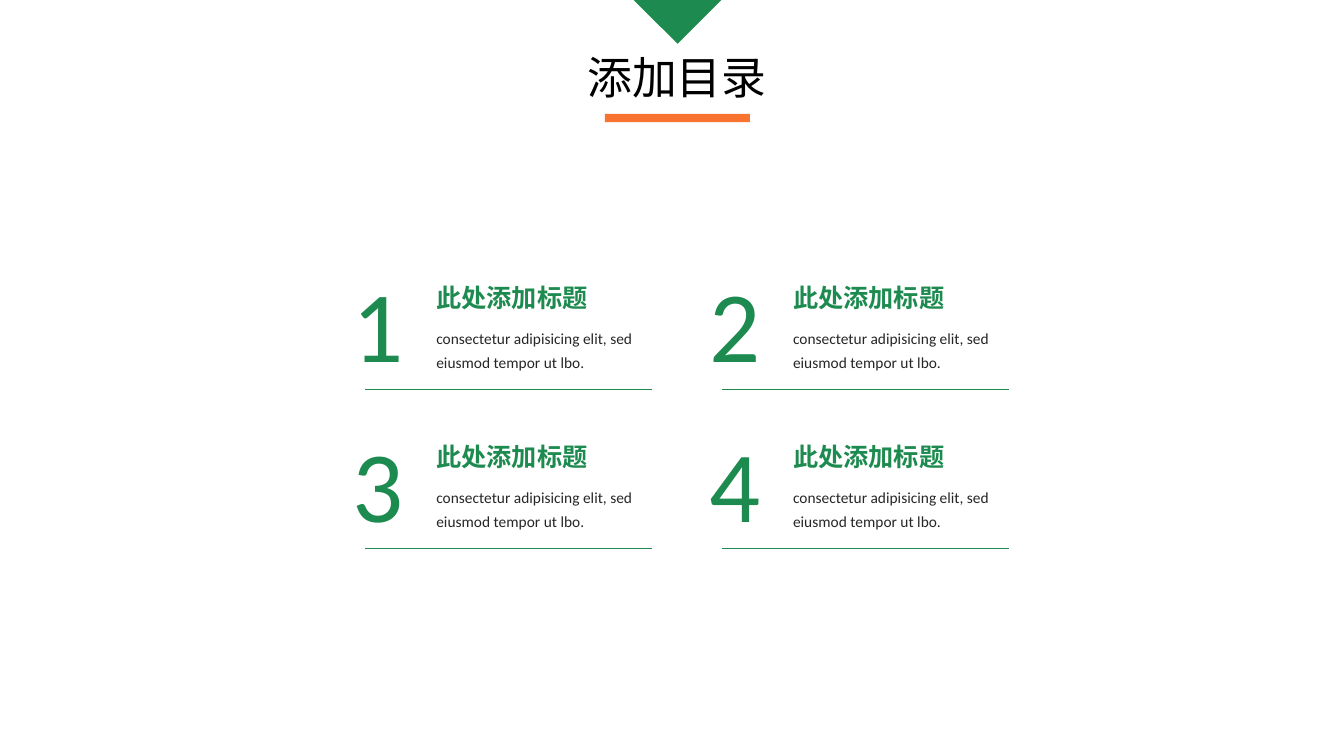
import pptx
import pptx.util
import pptx.dml.color
import pptx.enum.shapes
import pptx.enum.text
import pptx.oxml
import pptx.oxml.ns

Pt = pptx.util.Pt
SHAPE = pptx.enum.shapes.MSO_SHAPE
ALIGN = pptx.enum.text.PP_ALIGN

# Content
PAGE_TITLE = "添加目录"
HEADING = "此处添加标题"
BODY = "consectetur adipisicing elit, sed eiusmod tempor ut lbo."
# (number, width of its box), in reading order
ENTRIES = [("1", 54), ("2", 51), ("3", 51), ("4", 51)]

COLORS = {"green": "1D8B4F", "orange": "F87230", "dark": "262626", "black": "000000"}

# Grid of entries
COLUMNS = 2
GRID_LEFT, GRID_TOP = 244.8, 183.6
COLUMN_PITCH, ROW_PITCH = 254.8, 113.8
TEXT_OFFSET, TEXT_WIDTH = 59.8, 161.3
RULE_OFFSET, RULE_WIDTH, ENTRY_HEIGHT = 16.2, 204.8, 94.3

deck = pptx.Presentation()
deck.slide_width, deck.slide_height = Pt(960), Pt(540)
page = deck.slides.add_slide(deck.slide_layouts[6])


def rgb(name):
    return pptx.dml.color.RGBColor.from_string(COLORS[name])


def add_text(text, left, top, width, height, size, color, font="Calibri",
             bold=False, wrap=True, align=ALIGN.LEFT, before=6, spacing=None):
    box = page.shapes.add_textbox(Pt(left), Pt(top), Pt(width), Pt(height))
    frame = box.text_frame
    frame.word_wrap = wrap
    frame.auto_size = pptx.enum.text.MSO_AUTO_SIZE.SHAPE_TO_FIT_TEXT
    para = frame.paragraphs[0]
    para.text = text
    para.alignment = align
    para.space_before = Pt(before)
    para.line_spacing = spacing
    para.font.name = font
    para.font.size = Pt(size)
    para.font.bold = bold
    para.font.color.rgb = rgb(color)


def add_block(kind, left, top, width, height, color, rotation=0):
    block = page.shapes.add_shape(kind, Pt(left), Pt(top), Pt(width), Pt(height))
    block.shadow.inherit = False
    block.fill.solid()
    block.fill.fore_color.rgb = rgb(color)
    block.line.fill.background()
    block.rotation = rotation


def add_rule(left, top, width):
    rule = page.shapes.add_connector(
        pptx.enum.shapes.MSO_CONNECTOR.STRAIGHT,
        Pt(left), Pt(top), Pt(left + width), Pt(top))
    rule.line.color.rgb = rgb("green")
    rule.line.width = Pt(0.5)
    properties = rule._element.spPr
    properties.append(pptx.oxml.parse_xml(
        "<a:effectLst %s/>" % pptx.oxml.ns.nsdecls("a")))


# Contents entries
for index, (number, number_width) in enumerate(ENTRIES):
    row, column = divmod(index, COLUMNS)
    left = GRID_LEFT + column * COLUMN_PITCH
    top = GRID_TOP + row * ROW_PITCH
    text_left = left + TEXT_OFFSET
    add_text(number, left, top, number_width, ENTRY_HEIGHT, 72, "green",
             wrap=False, before=0)
    add_text(BODY, text_left, top + 44, TEXT_WIDTH, 43.2, 11, "dark", spacing=1.3)
    add_text(HEADING, text_left, top + 14.2, TEXT_WIDTH, 29, 18, "green", bold=True)
    add_rule(left + RULE_OFFSET, top + ENTRY_HEIGHT, RULE_WIDTH)

# Page title with pointer above and bar below
add_text(PAGE_TITLE, 327, 31.7, 313.2, 45.4, 32, "black",
         font="Roboto", align=ALIGN.CENTER)
add_block(SHAPE.RIGHT_TRIANGLE, 460.6, -25.2, 46.8, 46.8, "green", rotation=315)
add_block(SHAPE.RECTANGLE, 432, 81.4, 103.7, 5.8, "orange")

deck.save("out.pptx")
